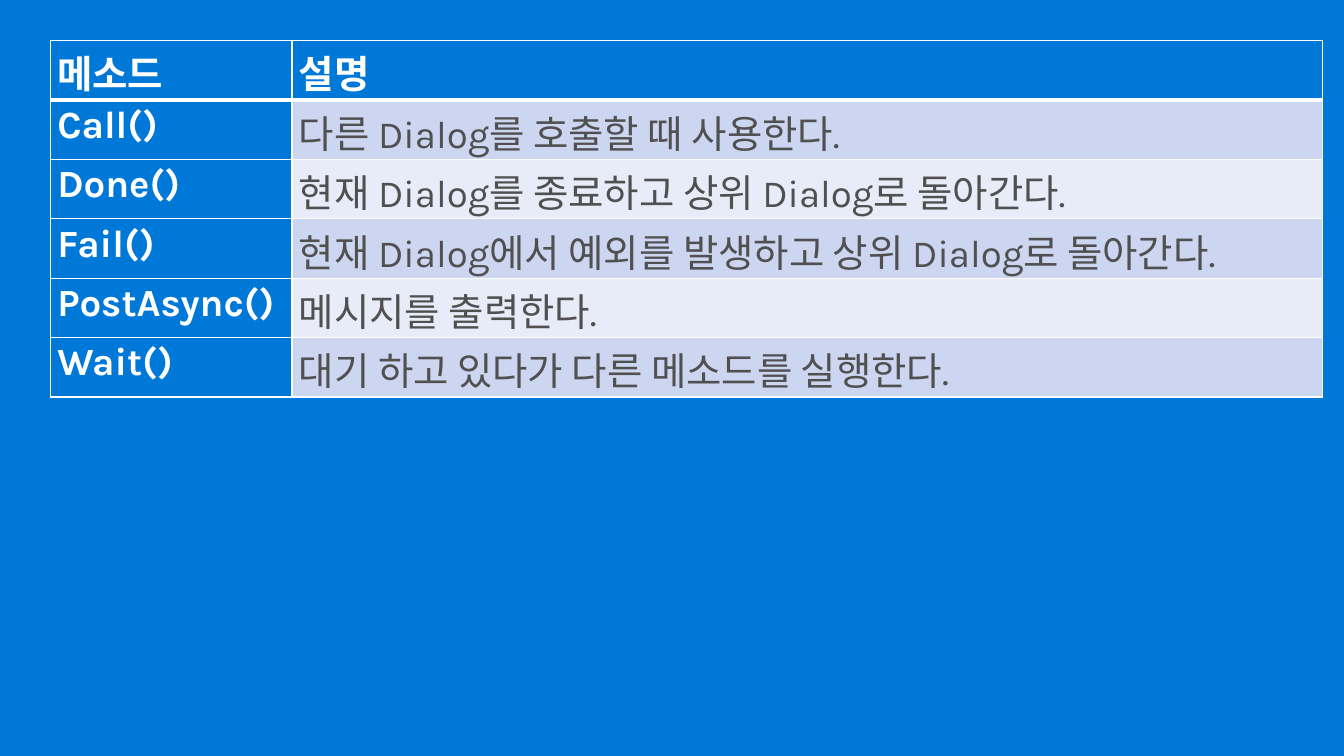
from dataclasses import dataclass

from lxml.etree import SubElement
from pptx import Presentation
from pptx.dml.color import RGBColor
from pptx.enum.text import MSO_ANCHOR, PP_ALIGN
from pptx.oxml.ns import qn
from pptx.util import Inches, Pt


@dataclass(frozen=True)
class Theme:
    """Colours, type and line sizes of the slide."""
    blue: str = "0078D7"
    white: str = "FFFFFF"
    grey: str = "505050"
    bands: tuple = ("CCD6F0", "E7ECF8")
    font: str = "Karla"
    size: int = 28
    thin: int = 1
    thick: int = 3


THEME = Theme()
WIDTH, HEIGHT = 13.6, 7.65
TABLE_BOX = (0.51, 0.41, 12.87, 3.6)
METHOD_SHARE = 0.19
METHODS = [
    ("메소드", "설명"),
    ("Call()", "다른 Dialog를 호출할 때 사용한다."),
    ("Done()", "현재 Dialog를 종료하고 상위 Dialog로 돌아간다."),
    ("Fail()", "현재 Dialog에서 예외를 발생하고 상위 Dialog로 돌아간다."),
    ("PostAsync()", "메시지를 출력한다."),
    ("Wait()", "대기 하고 있다가 다른 메소드를 실행한다."),
]


def set_values(target, values):
    """Set each named attribute on the target."""
    for name, value in values.items():
        setattr(target, name, value)


def draw_borders(cell, row):
    """Rule the cell in white, with a thick line below the header."""
    thick_side = {0: "lnB", 1: "lnT"}.get(row)
    properties = cell._tc.get_or_add_tcPr()
    for side in ("lnL", "lnR", "lnT", "lnB"):
        points = THEME.thick if side == thick_side else THEME.thin
        line = SubElement(properties, qn(f"a:{side}"), w=str(Pt(points)))
        fill = SubElement(line, qn("a:solidFill"))
        SubElement(fill, qn("a:srgbClr"), val=THEME.white)


def fill_cell(cell, text, row, column):
    """Write and format one cell according to its place in the table."""
    heading = row == 0 or column == 0
    draw_borders(cell, row)
    cell.fill.solid()
    background = THEME.blue if heading else THEME.bands[(row - 1) % 2]
    cell.fill.fore_color.rgb = RGBColor.from_string(background)
    set_values(cell, {
        "margin_left": Inches(0.07), "margin_right": Inches(0.07),
        "margin_top": 0, "margin_bottom": 0,
        "vertical_anchor": MSO_ANCHOR.TOP,
    })
    para = cell.text_frame.paragraphs[0]
    set_values(para, {
        "alignment": PP_ALIGN.JUSTIFY, "line_spacing": 1.07, "space_after": Pt(8),
    })
    span = para.add_run()
    span.text = text
    set_values(span.font, {
        "name": THEME.font, "size": Pt(THEME.size), "bold": heading,
    })
    color = THEME.white if heading else THEME.grey
    span.font.color.rgb = RGBColor.from_string(color)


def add_method_table(page, box):
    """Place the table of methods and descriptions in the box."""
    left, top, width, height = box
    frame = page.shapes.add_table(
        len(METHODS), 2, Inches(left), Inches(top), Inches(width), Inches(height))
    table = frame.table
    for column, share in zip(table.columns, (METHOD_SHARE, 1 - METHOD_SHARE)):
        column.width = Inches(width * share)
    for row, texts in enumerate(METHODS):
        for column, text in enumerate(texts):
            fill_cell(table.cell(row, column), text, row, column)


def main():
    """Build and save the slide."""
    deck = Presentation()
    set_values(deck, {"slide_width": Inches(WIDTH), "slide_height": Inches(HEIGHT)})
    page = deck.slides.add_slide(deck.slide_layouts[6])
    page.background.fill.solid()
    page.background.fill.fore_color.rgb = RGBColor.from_string(THEME.blue)
    add_method_table(page, TABLE_BOX)
    deck.save("out.pptx")


if __name__ == "__main__":
    main()
